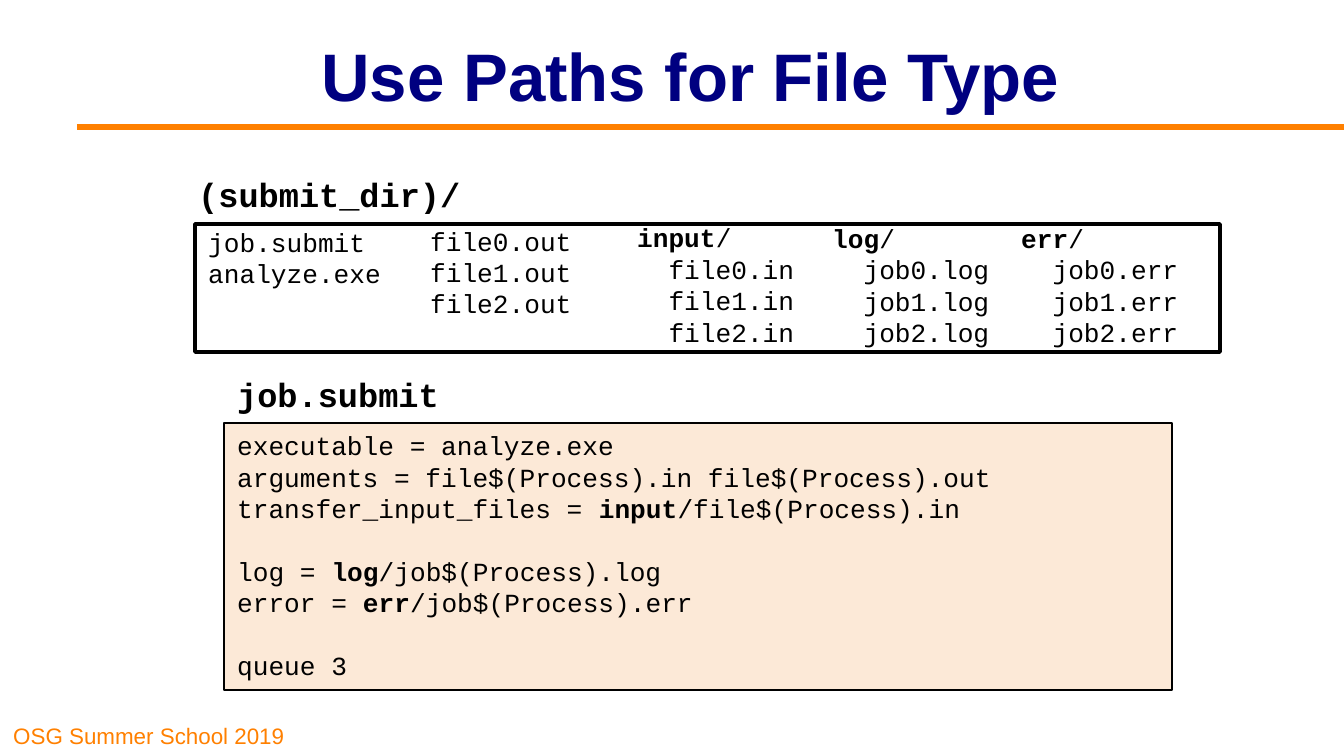
from dataclasses import dataclass

import pptx
import pptx.dml.color
import pptx.enum.shapes
import pptx.enum.text
import pptx.oxml
import pptx.oxml.ns
import pptx.util

PX_PER_INCH = 134.4
CODE_FONT = "Courier New"
CODE_SIZE = 14
LINE_HEIGHT = 1.2  # line pitch as a multiple of the font size
ANCHOR = pptx.enum.text.MSO_ANCHOR
BLACK, ORANGE, NAVY = "000000", "FF8000", "000080"


@dataclass
class Line:
    """A line of code; text between ** marks is bold."""
    text: str
    indented: bool = False
    gap_before: bool = False


@dataclass
class Box:
    left: int
    top: int
    width: int
    height: int


@dataclass
class Folder:
    box: Box
    name: str
    file_pattern: str


def px(length: int) -> pptx.util.Emu:
    return pptx.util.Emu(round(length * 914400 / PX_PER_INCH))


def color(hex_value: str) -> pptx.dml.color.RGBColor:
    return pptx.dml.color.RGBColor.from_string(hex_value)


def place(box: Box) -> tuple:
    return px(box.left), px(box.top), px(box.width), px(box.height)


def add_run(paragraph, text: str, font: str, size: int, hex_value: str, bold: bool = False) -> None:
    run = paragraph.add_run()
    run.text = text
    run.font.name = font
    run.font.size = pptx.util.Pt(size)
    run.font.bold = bold
    run.font.color.rgb = color(hex_value)


def write_lines(shape, lines: list[Line], anchor, size: int = CODE_SIZE) -> None:
    frame = shape.text_frame
    frame.word_wrap = True
    frame.vertical_anchor = anchor
    pitch = pptx.util.Pt(size * LINE_HEIGHT)
    for index, line in enumerate(lines):
        paragraph = frame.add_paragraph() if index else frame.paragraphs[0]
        paragraph.alignment = pptx.enum.text.PP_ALIGN.LEFT
        paragraph.line_spacing = pitch
        if line.gap_before:
            paragraph.space_before = pitch
        if line.indented:
            # Two monospaced characters, each 0.6 of the font size
            indent = pptx.util.Pt(size * 1.2)
            paragraph._p.get_or_add_pPr().set("marL", str(int(indent)))
        for part, text in enumerate(line.text.split("**")):
            if text:
                add_run(paragraph, text, CODE_FONT, size, BLACK, part % 2 == 1)


def add_text(slide, box: Box, lines: list[Line], anchor=ANCHOR.MIDDLE, size: int = CODE_SIZE) -> None:
    write_lines(slide.shapes.add_textbox(*place(box)), lines, anchor, size)


def add_panel(slide, box: Box, fill: str, line_width: float, lines: list[Line]):
    panel = slide.shapes.add_shape(pptx.enum.shapes.MSO_SHAPE.RECTANGLE, *place(box))
    panel.shadow.inherit = False
    panel.fill.solid()
    panel.fill.fore_color.rgb = color(fill)
    panel.line.color.rgb = color(BLACK)
    panel.line.width = pptx.util.Pt(line_width)
    write_lines(panel, lines, ANCHOR.TOP)
    return panel


def add_rule(slide, left: int, right: int, y: int) -> None:
    rule = slide.shapes.add_connector(
        pptx.enum.shapes.MSO_CONNECTOR.STRAIGHT, px(left), px(y), px(right), px(y))
    rule.line.color.rgb = color(ORANGE)
    rule.line.width = pptx.util.Pt(3)
    properties = rule._element.spPr
    properties.append(pptx.oxml.parse_xml(f"<a:effectLst {pptx.oxml.ns.nsdecls('a')}/>"))


def add_title(slide, box: Box, text: str) -> None:
    title = slide.shapes.title
    title.left, title.top, title.width, title.height = place(box)
    title.text_frame.vertical_anchor = ANCHOR.MIDDLE
    paragraph = title.text_frame.paragraphs[0]
    paragraph.alignment = pptx.enum.text.PP_ALIGN.CENTER
    add_run(paragraph, text, "Arial", 36, NAVY, True)


def add_footer(slide, box: Box, text: str) -> None:
    footer = slide.shapes.add_textbox(*place(box))
    footer.text_frame.word_wrap = True
    footer.text_frame.vertical_anchor = ANCHOR.BOTTOM
    add_run(footer.text_frame.paragraphs[0], text, "Arial", 12, ORANGE)


SUBMIT_FILE = [
    Line("executable = analyze.exe"),
    Line("arguments = file$(Process).in file$(Process).out"),
    Line("transfer_input_files = **input**/file$(Process).in"),
    Line("log = **log**/job$(Process).log", gap_before=True),
    Line("error = **err**/job$(Process).err"),
    Line("queue 3", gap_before=True),
]

FOLDERS = [
    Folder(Box(624, 224, 243, 121), "input", "file{}.in"),
    Folder(Box(819, 224, 253, 122), "log", "job{}.log"),
    Folder(Box(1008, 224, 226, 122), "err", "job{}.err"),
]


def main() -> None:
    presentation = pptx.Presentation()
    presentation.slide_width, presentation.slide_height = px(1344), px(756)
    slide = presentation.slides.add_slide(presentation.slide_layouts[5])

    # Frame of the slide
    add_footer(slide, Box(0, 714, 333, 42), "OSG Summer School 2019")
    add_rule(slide, 77, 1344, 127)
    add_title(slide, Box(180, 12, 1021, 126), "Use Paths for File Type")

    # Submit file
    add_panel(slide, Box(224, 423, 948, 267), "FCE9D7", 0.75, SUBMIT_FILE)
    add_text(slide, Box(224, 367, 247, 54), [Line("**job.submit**")], ANCHOR.TOP, 18)

    # Submit directory with its files and folders
    directory = add_panel(slide, Box(195, 224, 1025, 128), "FFFFFF", 2,
                          [Line("job.submit"), Line("analyze.exe")])
    directory.text_frame.margin_top = px(2)
    add_text(slide, Box(185, 167, 319, 54), [Line("**(submit_dir)/**")], ANCHOR.TOP, 18)
    add_text(slide, Box(417, 219, 171, 106), [Line(f"file{number}.out") for number in range(3)])
    for folder in FOLDERS:
        files = [Line(folder.file_pattern.format(number), indented=True) for number in range(3)]
        add_text(slide, folder.box, [Line(f"**{folder.name}**/"), *files])

    presentation.save("out.pptx")


if __name__ == "__main__":
    main()
